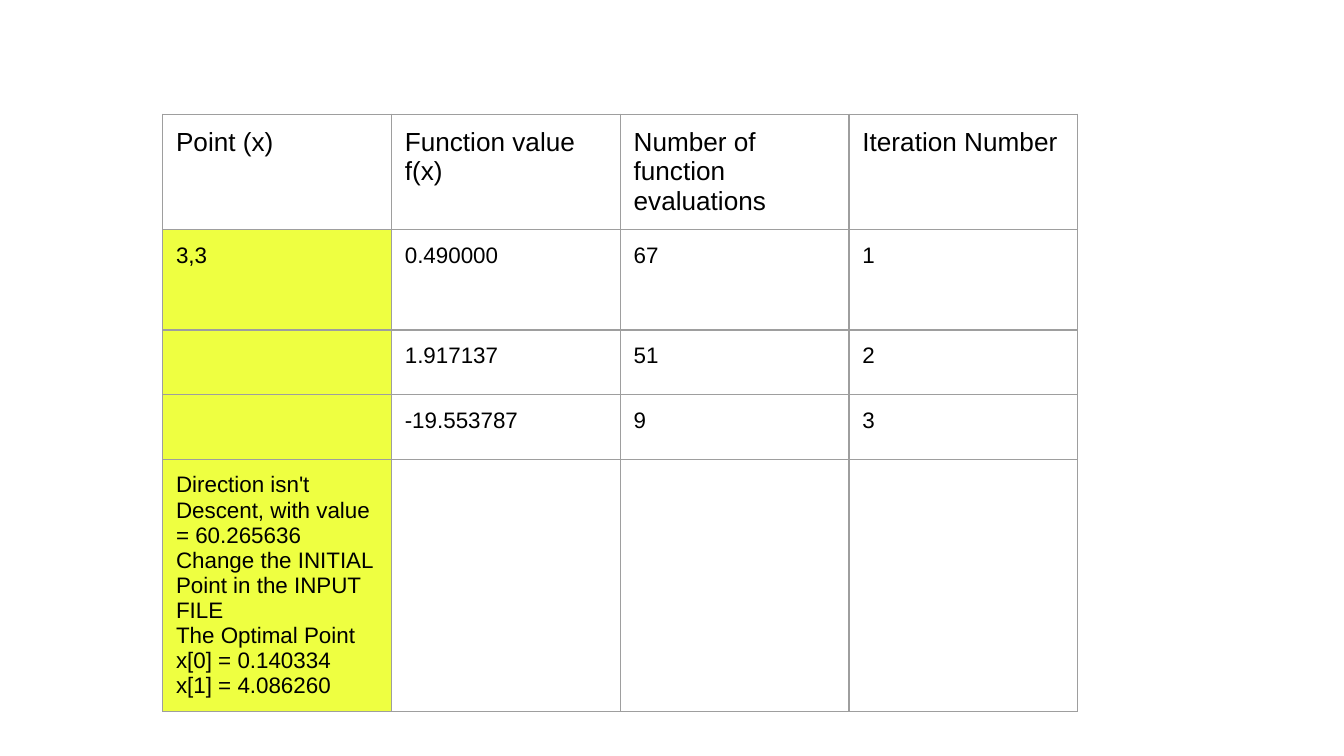
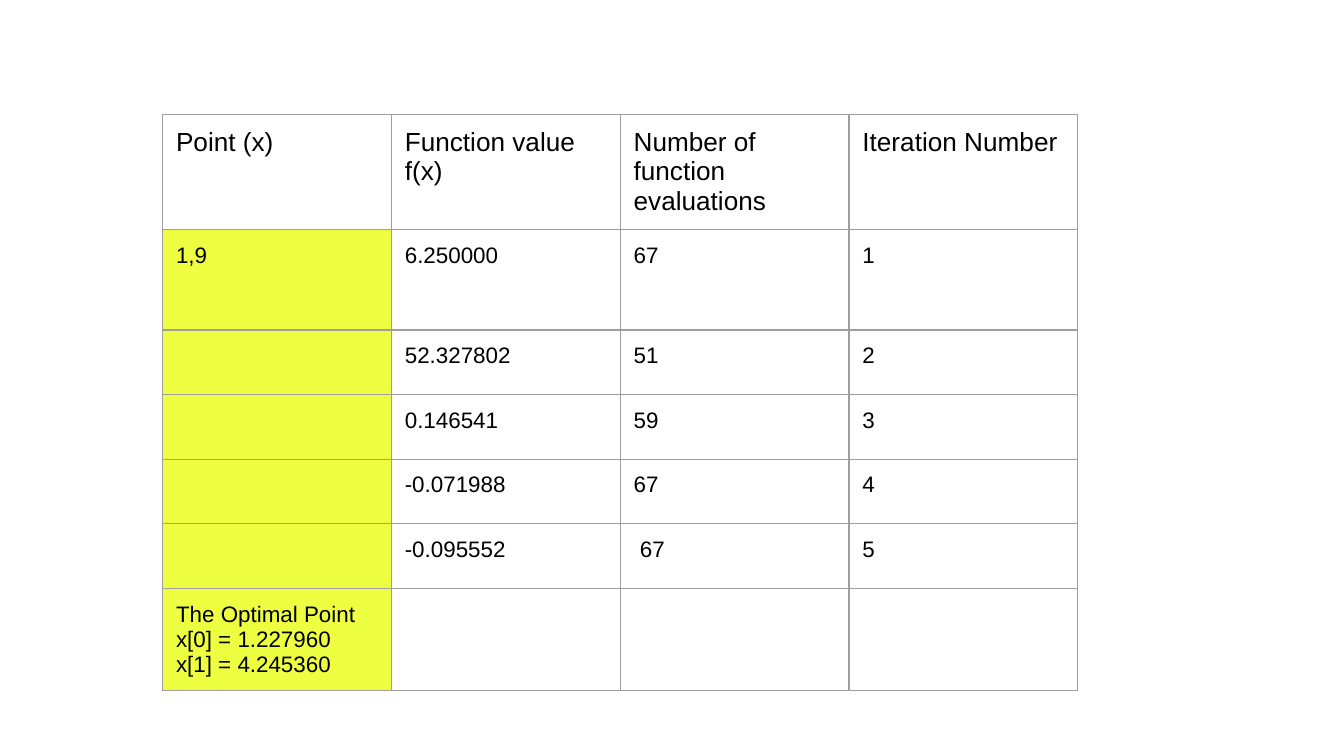
"""Build two slides of optimisation results, one table per starting point."""
from lxml.etree import SubElement
from pptx import Presentation
from pptx.dml.color import RGBColor
from pptx.oxml.ns import qn
from pptx.util import Inches, Pt

COLORS = {"text": "000000", "border": "9E9E9E", "point": "EEFF41"}
FONT = "Arial"
HEADER = ["Point (x)", "Function value f(x)", "Number of function evaluations", "Iteration Number"]
RUNS = [
    {
        "start": "3,3",
        "steps": [("0.490000", "67"), ("1.917137", "51"), ("-19.553787", "9")],
        "result": [
            "Direction isn't Descent, with value = 60.265636",
            "Change the INITIAL Point in the INPUT FILE",
            "The Optimal Point",
            "x[0] = 0.140334",
            "x[1] = 4.086260",
        ],
    },
    {
        "start": "1,9",
        "steps": [
            ("6.250000", "67"),
            ("52.327802", "51"),
            ("0.146541", "59"),
            ("-0.071988", "67"),
            ("-0.095552", " 67"),
        ],
        "result": ["The Optimal Point", "x[0] = 1.227960", "x[1] = 4.245360"],
    },
]

SLIDE_W = 10
SLIDE_H = SLIDE_W * 9 / 16
LEFT, TOP, TABLE_W = 1.21, 0.85, 6.81
HEADER_H, START_H, STEP_H, RESULT_H = 0.54, 0.75, 0.34, 0.49
HEADER_SIZE, BODY_SIZE, EMPTY_SIZE = 14, 12, 18
TABLE_FORMAT = {"first_row": False, "horz_banding": False}
CELL_FORMAT = {f"margin_{side}": Inches(0.1) for side in ("left", "right", "top", "bottom")}


def add_borders(cell):
    """Draw a thin line on all four sides of a cell."""
    tc_pr = cell._tc.get_or_add_tcPr()
    for side in ("lnL", "lnR", "lnT", "lnB"):
        ln = SubElement(tc_pr, qn(f"a:{side}"), w=str(Pt(0.75)))
        fill = SubElement(ln, qn("a:solidFill"))
        SubElement(fill, qn("a:srgbClr"), val=COLORS["border"])


def set_empty_font(p):
    """Set the font that gives an empty paragraph its height."""
    end = SubElement(p._p, qn("a:endParaRPr"), sz=str(EMPTY_SIZE * 100))
    SubElement(end, qn("a:latin"), typeface=FONT)


def fill_cell(cell, lines, size, highlighted):
    """Format a cell and write one paragraph per line."""
    for name, value in CELL_FORMAT.items():
        setattr(cell, name, value)
    add_borders(cell)
    if highlighted:
        cell.fill.solid()
        cell.fill.fore_color.rgb = RGBColor.from_string(COLORS["point"])
    else:
        cell.fill.background()
    tf = cell.text_frame
    if not lines:
        set_empty_font(tf.paragraphs[0])
    for i, line in enumerate(lines):
        p = tf.add_paragraph() if i else tf.paragraphs[0]
        r = p.add_run()
        r.text = line
        for name, value in {"name": FONT, "size": Pt(size)}.items():
            setattr(r.font, name, value)
        r.font.color.rgb = RGBColor.from_string(COLORS["text"])


def table_rows(run):
    """Return the rows of a run, each cell as a list of lines."""
    rows = [[[title] for title in HEADER]]
    for i, (value, evaluations) in enumerate(run["steps"]):
        point = [] if i else [run["start"]]
        rows.append([point, [value], [evaluations], [str(i + 1)]])
    return rows + [[run["result"], [], [], []]]


def add_run_slide(prs, run):
    """Add a slide with the table of one run."""
    s = prs.slides.add_slide(prs.slide_layouts[6])
    rows = table_rows(run)
    heights = [HEADER_H, START_H] + [STEP_H] * (len(run["steps"]) - 1) + [RESULT_H]
    table = s.shapes.add_table(
        len(rows), len(HEADER), Inches(LEFT), Inches(TOP),
        Inches(TABLE_W), Inches(sum(heights)),
    ).table
    for name, value in TABLE_FORMAT.items():
        setattr(table, name, value)
    for r, (row, height) in enumerate(zip(rows, heights)):
        table.rows[r].height = Inches(height)
        for c, lines in enumerate(row):
            size = BODY_SIZE if r else HEADER_SIZE
            fill_cell(table.cell(r, c), lines, size, r > 0 and c == 0)


def main():
    """Build and save the presentation."""
    prs = Presentation()
    prs.slide_width, prs.slide_height = Inches(SLIDE_W), Inches(SLIDE_H)
    for run in RUNS:
        add_run_slide(prs, run)
    prs.save("out.pptx")


if __name__ == "__main__":
    main()
